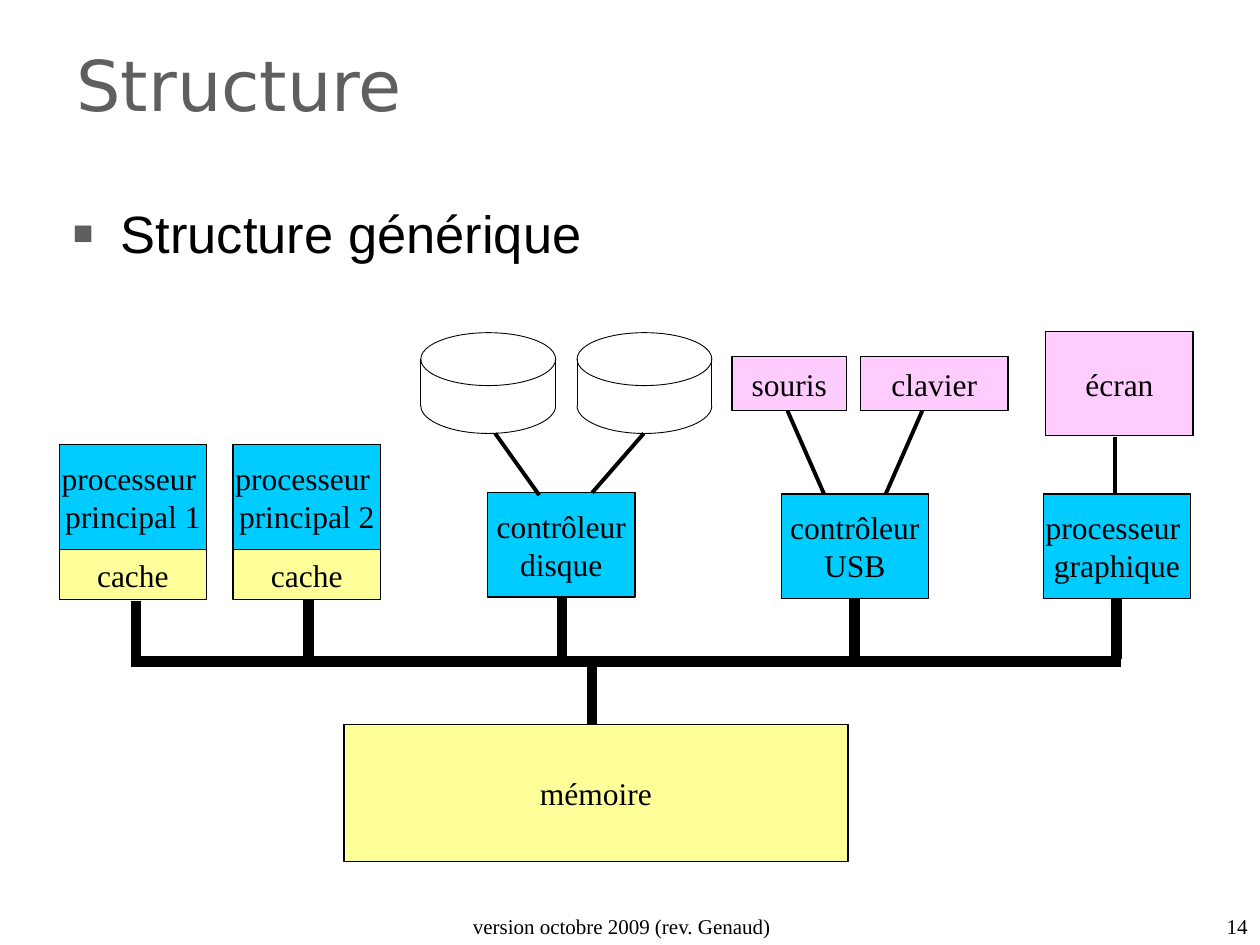
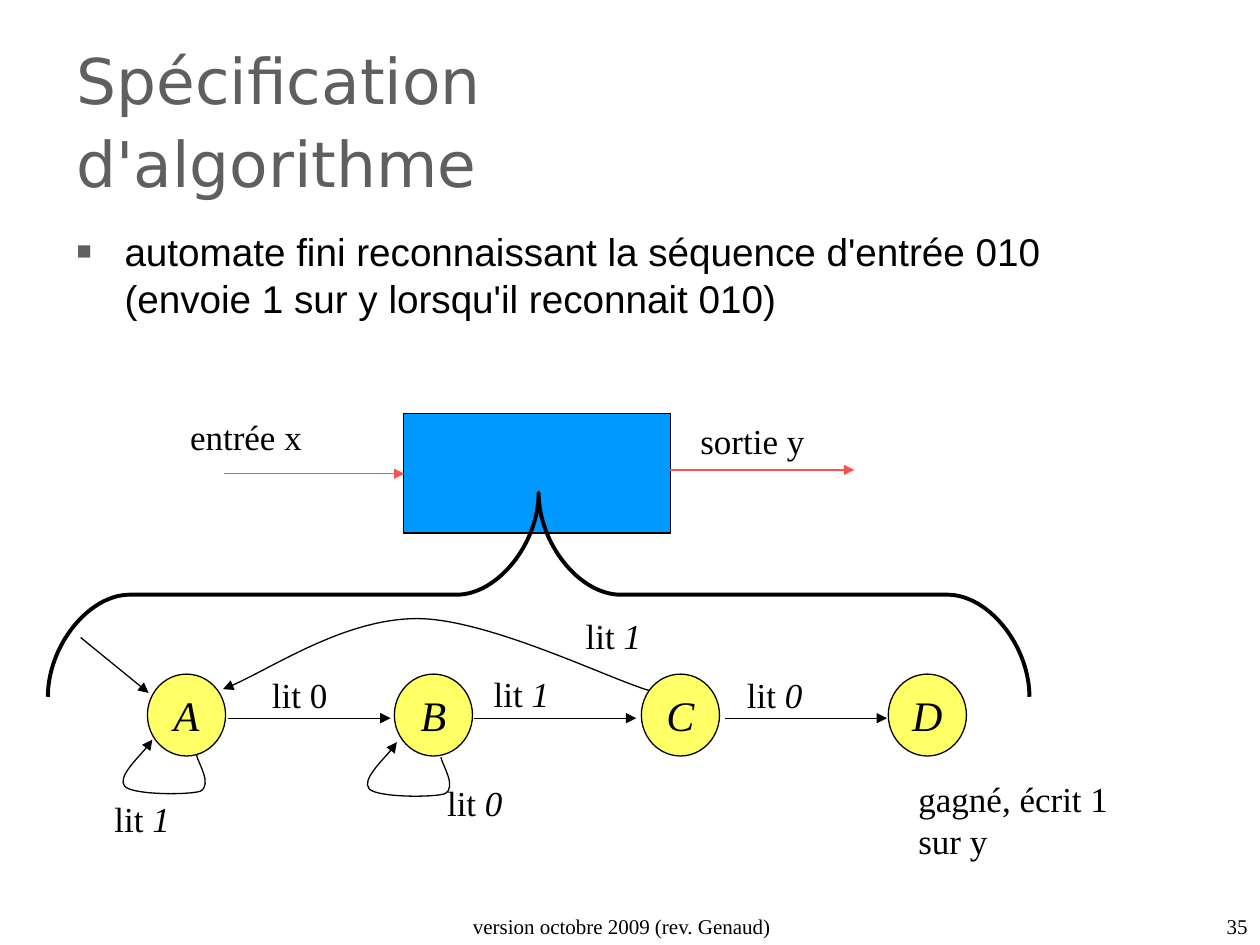
from lxml import etree
from pptx import Presentation
from pptx.dml.color import RGBColor
from pptx.enum import shapes, text
from pptx.oxml import ns
from pptx.util import Inches, Pt

BLACK = RGBColor(0x00, 0x00, 0x00)
GREY = RGBColor(0x5F, 0x5F, 0x5F)
CYAN = RGBColor(0x00, 0xCC, 0xFF)
BLUE = RGBColor(0x00, 0x99, 0xFF)
PINK = RGBColor(0xFF, 0xCC, 0xFF)
CREAM = RGBColor(0xFF, 0xFF, 0x99)
YELLOW = RGBColor(0xFF, 0xFF, 0x66)
RED = RGBColor(0xFF, 0x50, 0x50)

SERIF = "Times New Roman"
SANS = "Arial"
TITLE_FONT = "DejaVu Sans"
THIN, HAIR, MEDIUM, BUS = 0.74, 0.51, 2.24, 6.01
CENTER = text.PP_ALIGN.CENTER
RECTANGLE = shapes.MSO_SHAPE.RECTANGLE
OVAL = shapes.MSO_SHAPE.OVAL


def add_child(parent, tag, **attributes):
    return etree.SubElement(parent, ns.qn(tag), attributes)


def style_font(paragraph, size, name=SERIF, color=BLACK, italic=None):
    font = paragraph.font
    font.size, font.name, font.italic = Pt(size), name, italic
    font.color.rgb = color


def style_line(shape, width, color=BLACK, arrow=False):
    shape.line.width = Pt(width)
    shape.line.color.rgb = color
    if arrow:
        line = shape.element.spPr.find(ns.qn("a:ln"))
        add_child(line, "a:tailEnd", type="triangle")


def add_line(holder, start, end, width=THIN, color=BLACK, arrow=False):
    connector = holder.shapes.add_connector(
        shapes.MSO_CONNECTOR.STRAIGHT, *map(Inches, start + end))
    style_line(connector, width, color, arrow)
    add_child(connector.element.spPr, "a:effectLst")


def add_curve(holder, start, pieces, width=THIN, arrow=False):
    builder = holder.shapes.build_freeform(*map(Inches, start))
    builder.add_line_segments(
        [tuple(map(Inches, point)) for piece in pieces for point in piece], close=False)
    shape = builder.convert_to_shape()
    segments = iter(list(shape.element.iter(ns.qn("a:lnTo"))))
    for piece in pieces:
        group = [next(segments) for _ in piece]
        if len(group) == 3:
            group[0].tag, cubic = ns.qn("a:lnTo"), etree.Element(ns.qn("a:cubicBezTo"))
            group[0].addprevious(cubic)
            for segment in group:
                cubic.append(segment[0])
                segment.getparent().remove(segment)
    shape.shadow.inherit = False
    shape.fill.background()
    style_line(shape, width, arrow=arrow)


def add_node(holder, box, fill=None, lines=(), kind=RECTANGLE, size=18, italic=None, width=THIN):
    shape = holder.shapes.add_shape(kind, *map(Inches, box))
    shape.shadow.inherit = False
    if fill is None:
        shape.fill.background()
    else:
        shape.fill.solid()
        shape.fill.fore_color.rgb = fill
    style_line(shape, width)
    frame = shape.text_frame
    frame.word_wrap = False
    frame.vertical_anchor = text.MSO_ANCHOR.MIDDLE
    for index, line in enumerate(lines):
        paragraph = frame.add_paragraph() if index else frame.paragraphs[0]
        paragraph.text = line
        paragraph.alignment = CENTER
        style_font(paragraph, size, italic=italic)


def add_text(slide, box, size, *runs, name=SERIF, color=BLACK,
             align=None, anchor=text.MSO_ANCHOR.TOP, bullet=False):
    frame = slide.shapes.add_textbox(*map(Inches, box)).text_frame
    frame.word_wrap = True
    frame.vertical_anchor = anchor
    paragraph = frame.paragraphs[0]
    paragraph.alignment = align
    if bullet:
        add_bullet(paragraph)
    style_font(paragraph, size, name, color)
    for index, content in enumerate(runs):
        run = paragraph.add_run()
        run.text = content
        if index:
            run.font.italic = True
    return paragraph


def add_bullet(paragraph):
    properties = paragraph._p.get_or_add_pPr()
    properties.set("marL", str(Inches(0.38)))
    properties.set("indent", str(Inches(-0.38)))
    add_child(add_child(properties, "a:buClr"), "a:srgbClr", val=str(GREY))
    add_child(properties, "a:buSzPct", val="65000")
    add_child(properties, "a:buFont", typeface=SANS)
    add_child(properties, "a:buChar", char="■")


def add_base(presentation, title, title_size, body, body_box, body_size, number):
    slide = presentation.slides.add_slide(presentation.slide_layouts[6])
    heading = add_text(slide, (0.51, 0.28, 6.7, 1.42), title_size, title,
                       name=TITLE_FONT, color=GREY)
    if title_size < 40:
        space = heading.add_run()
        space.text = " "
        space.font.size = Pt(40)
    add_text(slide, body_box, body_size, body, name=SANS, bullet=True)
    bottom = text.MSO_ANCHOR.BOTTOM
    add_text(slide, (3.35, 7.14, 3.17, 0.36), 12, "version octobre 2009 (rev. Genaud)",
             align=CENTER, anchor=bottom)
    add_text(slide, (7.67, 7.14, 2.33, 0.36), 12, number,
             align=text.PP_ALIGN.RIGHT, anchor=bottom)
    return slide


def add_disk(slide, left, top, width, height):
    disk = slide.shapes.add_group_shape()
    lid, depth = 0.42, 0.22
    right, middle = left + width, left + width / 2
    side_top, side_bottom, bottom = top + lid / 2, top + height - depth, top + height
    add_node(disk, (left, top, width, lid), kind=OVAL, width=HAIR)
    pull_x, pull_y = 0.55 * width / 2, 0.55 * depth
    add_curve(disk, (left, side_bottom), [
        ((left, side_bottom + pull_y), (middle - pull_x, bottom), (middle, bottom)),
        ((middle + pull_x, bottom), (right, side_bottom + pull_y), (right, side_bottom))], HAIR)
    for x in (left, right):
        add_line(disk, (x, side_bottom), (x, side_top), HAIR)


def add_processor(slide, left, top, width, number):
    add_node(slide, (left, top, width, 0.83), CYAN, ("processeur ", f"principal {number}"))
    add_node(slide, (left, top + 0.83, width, 0.4), CREAM, ("cache",))


def add_architecture(slide):
    bus_y = 5.25
    add_node(slide, (2.73, 5.75, 4, 1.09), CREAM, ("mémoire",))
    add_line(slide, (1.04, bus_y), (8.9, bus_y), BUS)
    for left, top, lines in ((3.87, 3.91, ("contrôleur", "disque")),
                             (6.2, 3.92, ("contrôleur", "USB")),
                             (8.28, 3.92, ("processeur ", "graphique"))):
        add_node(slide, (left, top, 1.17, 0.83), CYAN, lines)
    for number, left in enumerate((0.47, 1.85), 1):
        add_processor(slide, left, 3.53, 1.17, number)
    for left in (3.34, 4.58):
        add_disk(slide, left, 2.64, 1.07, 0.8)
    for box, label in (((8.3, 2.63, 1.17, 0.83), "écran"), ((6.83, 2.83, 1.17, 0.43), "clavier"),
                       ((5.81, 2.83, 0.91, 0.43), "souris")):
        add_node(slide, box, PINK, (label,))
    for x, start, end in ((1.08, 5.25, 4.77), (2.45, 5.24, 4.76), (4.46, 5.21, 4.73),
                          (6.78, 5.23, 4.75), (8.86, 5.23, 4.75), (4.7, 5.75, 5.27)):
        add_line(slide, (x, start), (x, end), BUS)
    for start, end in (((8.85, 3.93), (8.85, 3.47)), ((6.54, 3.92), (6.25, 3.26)),
                       ((7.03, 3.92), (7.32, 3.26)), ((4.28, 3.93), (3.93, 3.44)),
                       ((4.7, 3.91), (5.11, 3.44))):
        add_line(slide, start, end, MEDIUM)


def add_loop(slide, x, y, width):
    add_curve(slide, (x + width, y + 0.12), [
        ((x + width + 0.01, y + 0.18), (x + width + 0.13, y + 0.36), (x + width + 0.03, y + 0.41)),
        ((x + width - 0.06, y + 0.44), (x - 0.16, y + 0.44), (x - 0.22, y + 0.37)),
        ((x - 0.28, y + 0.3), (x - 0.03, y + 0.06), (x, y))], arrow=True)


def add_brace(slide, left, top, width, height):
    middle, bottom, bend = top + height / 2, top + height, 0.65
    center, right, pull = left + width / 2, left + width, height / 4
    add_curve(slide, (right, bottom), [
        ((right, bottom - pull), (right - bend / 2, middle), (right - bend, middle)),
        ((center + bend, middle),),
        ((center + bend / 2, middle), (center, top + pull), (center, top)),
        ((center, top + pull), (center - bend / 2, middle), (center - bend, middle)),
        ((left + bend, middle),),
        ((left + bend / 2, middle), (left, bottom - pull), (left, bottom))], MEDIUM)


def add_black_box(slide, left, top, width, height):
    add_node(slide, (left, top, width, height), BLUE)
    right = left + width
    add_line(slide, (left - 1.42, 3.76), (left + 0.01, 3.76), color=RED, arrow=True)
    add_line(slide, (right, 3.73), (right + 1.46, 3.73), color=RED, arrow=True)
    add_text(slide, (1.41, 3.25, 1.42, 0.44), 20, "entrée x")
    add_text(slide, (5.46, 3.28, 1.42, 0.44), 20, "sortie y")


def add_automaton(slide, left, top, pitch):
    for index, state in enumerate("ABCD"):
        add_node(slide, (left + index * pitch, top, 0.62, 0.65), YELLOW, (state,), OVAL, 24, True)
    add_curve(slide, (0.64, 5.06), [((1.18, 5.5),)], arrow=True)
    for x in (1.81, 3.76, 5.75):
        add_line(slide, (x, top + 0.35), (x + 1.29, top + 0.35), arrow=True)
    add_curve(slide, (5.15, 5.48), [((4.84, 5.39), (3.87, 4.91), (3.31, 4.91)),
                                    ((2.74, 4.91), (2.09, 5.35), (1.77, 5.47))], arrow=True)
    add_loop(slide, 1.21, 5.87, 0.35)
    add_loop(slide, 3.15, 5.89, 0.35)
    for x, y, *runs in ((2.06, 5.3, "lit 0"), (3.82, 5.29, "lit ", "1"), (5.83, 5.3, "lit ", "0"),
                        (4.55, 4.83, "lit ", "1"), (3.45, 6.15, "lit", " 0"),
                        (0.81, 6.28, "lit ", "1")):
        add_text(slide, (x, y, 1.03, 0.44), 20, *runs)
    add_text(slide, (7.19, 6.12, 1.82, 0.77), 20, "gagné, écrit 1 sur y")


presentation = Presentation()
presentation.slide_width, presentation.slide_height = Inches(10), Inches(7.5)

structure = add_base(presentation, "Structure", 40, "Structure générique",
                     (0.48, 1.55, 5.16, 0.91), 30, "14")
add_architecture(structure)

algorithm = add_base(
    presentation, "Spécification d'algorithme", 36,
    "automate fini reconnaissant la séquence d'entrée 010 "
    "(envoie 1 sur y lorsqu'il reconnait 010)", (0.51, 1.76, 8.55, 0.86), 22.1, "35")
add_automaton(algorithm, 1.17, 5.35, 1.96)
add_black_box(algorithm, 3.2, 3.28, 2.12, 0.95)
add_brace(algorithm, 0.38, 3.91, 7.79, 1.62)

presentation.save("out.pptx")
